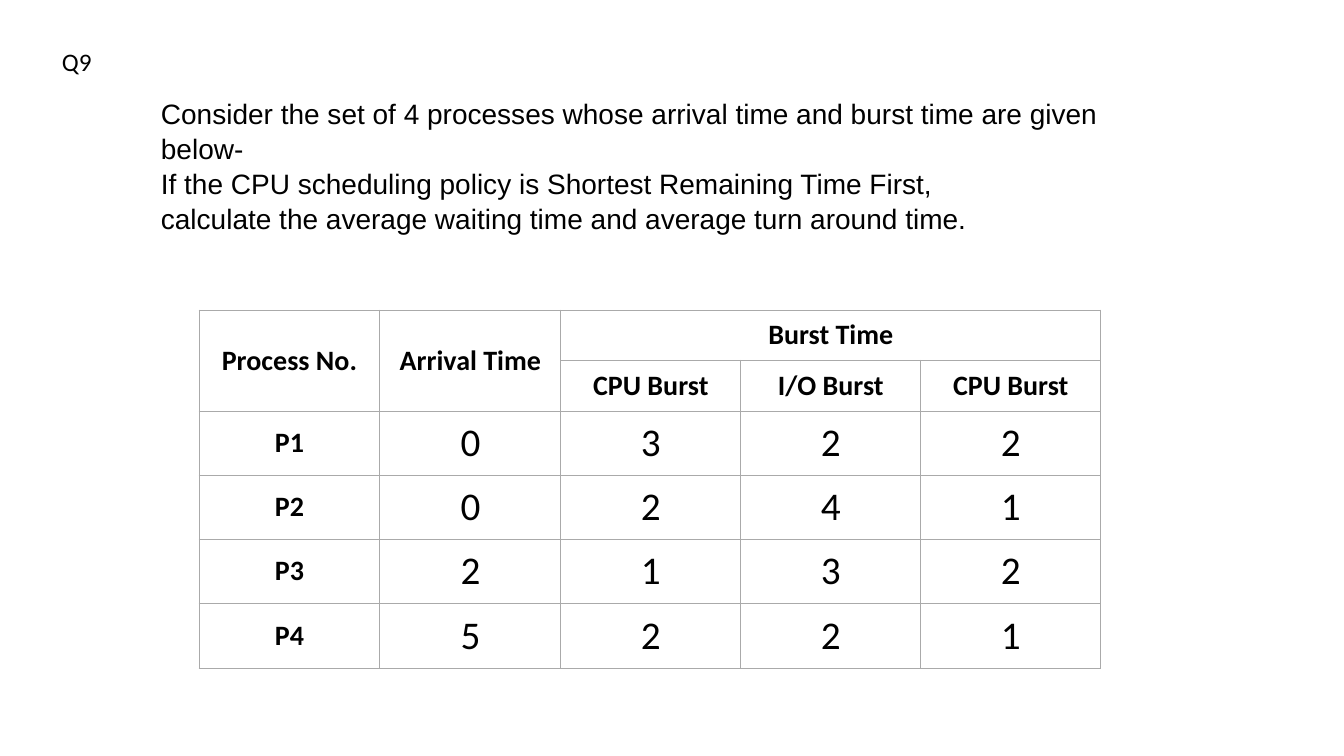
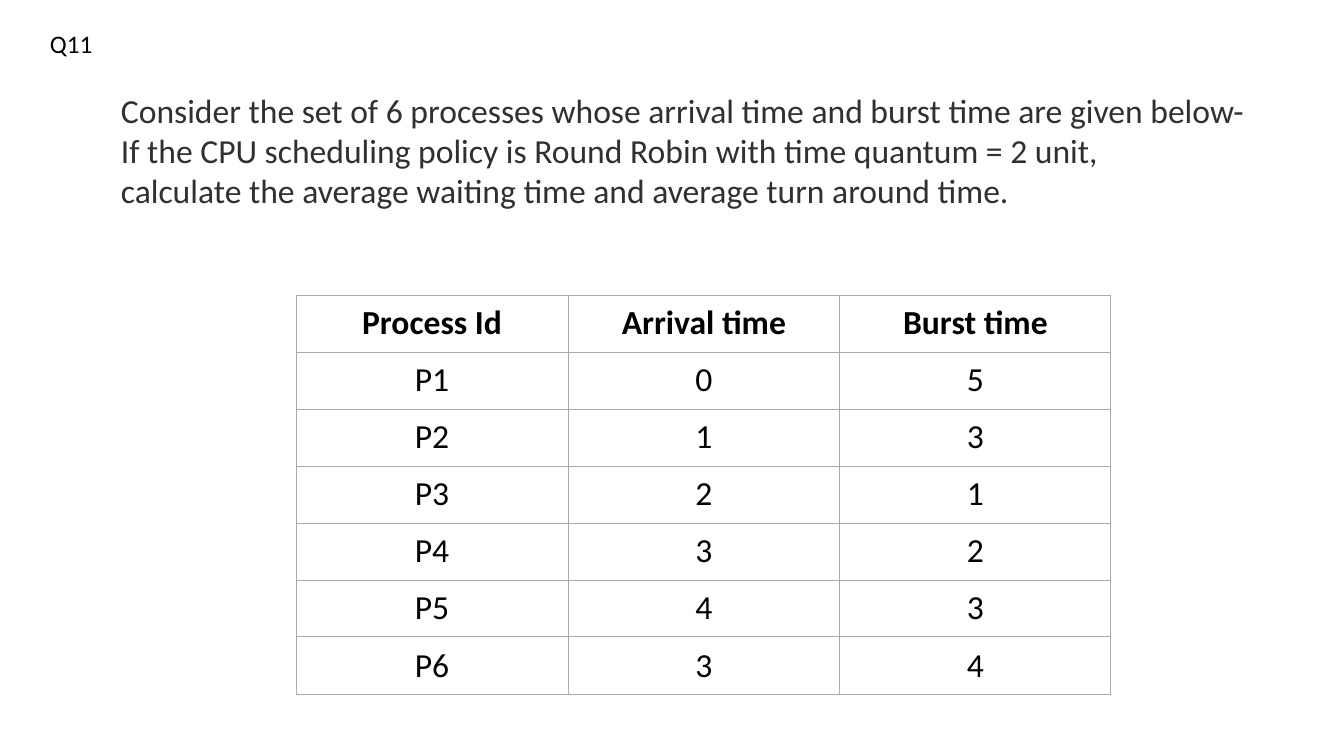
"""Build two CPU scheduling question slides, each with a process table."""
from lxml import etree
from pptx import Presentation
from pptx.dml.color import RGBColor
from pptx.enum import text
from pptx.oxml.ns import qn
from pptx.util import Emu, Pt

BLACK = RGBColor(0x00, 0x00, 0x00)
CHARCOAL = RGBColor(0x30, 0x30, 0x30)
WHITE = RGBColor(0xFF, 0xFF, 0xFF)
GREY = RGBColor(0xAA, 0xAA, 0xAA)
PIXEL = 914400 / 100.8
CELL_MARGINS = (10, 8, 10, 8)
BORDER_SIDES = ("a:lnL", "a:lnR", "a:lnT", "a:lnB")

QUESTIONS = [
    {
        "number": "Q9",
        "number_box": (52, 41, 50, 40),
        "prompt": [
            "Consider the set of 4 processes whose arrival time and burst time are given below-",
            "If the CPU scheduling policy is Shortest Remaining Time First,",
            "calculate the average waiting time and average turn around time.",
        ],
        "prompt_box": (151, 92, 968, 146),
        "prompt_format": {"size": 20, "font": "Arial", "color": BLACK, "spacing": 1.05},
        "table_origin": (199, 310),
        "columns": (181, 181, 180, 180, 180),
        "rows": (50, 51, 64, 64, 64, 65),
        "header_rows": 2,
        "header_columns": 1,
        "header_size": 20,
        "value_size": 28,
        "merges": [((0, 0), (1, 0)), ((0, 1), (1, 1)), ((0, 2), (0, 4))],
        "cells": [
            ("Process No.", "Arrival Time", "Burst Time", "", ""),
            ("", "", "CPU Burst", "I/O Burst", "CPU Burst"),
            ("P1", "0", "3", "2", "2"),
            ("P2", "0", "2", "4", "1"),
            ("P3", "2", "1", "3", "2"),
            ("P4", "5", "2", "2", "1"),
        ],
    },
    {
        "number": "Q11",
        "number_box": (40, 23, 64, 40),
        "prompt": [
            "Consider the set of 6 processes whose arrival time and burst time are given below-",
            "If the CPU scheduling policy is Round Robin with time quantum = 2 unit,",
            "calculate the average waiting time and average turn around time.",
        ],
        "prompt_box": (111, 84, 1155, 132),
        "prompt_format": {"size": 24, "color": CHARCOAL},
        "table_origin": (296, 295),
        "columns": (272, 272, 271),
        "rows": (57, 57, 57, 57, 57, 57, 58),
        "header_rows": 1,
        "header_columns": 0,
        "header_size": 24,
        "value_size": 24,
        "merges": [],
        "cells": [
            ("Process Id", "Arrival time", "Burst time"),
            ("P1", "0", "5"),
            ("P2", "1", "3"),
            ("P3", "2", "1"),
            ("P4", "3", "2"),
            ("P5", "4", "3"),
            ("P6", "3", "4"),
        ],
    },
]


def px(length):
    """Turn pixels into EMU."""
    return Emu(round(length * PIXEL))


def write(frame, lines, size=18, font="Calibri", color=BLACK, bold=False,
          align=text.PP_ALIGN.LEFT, spacing=None):
    """Fill a text frame with one paragraph for each line."""
    for index, line in enumerate(lines):
        paragraph = frame.paragraphs[0] if index == 0 else frame.add_paragraph()
        paragraph.alignment = align
        paragraph.line_spacing = spacing
        run = paragraph.add_run()
        run.text = line
        run.font.size, run.font.name, run.font.bold = Pt(size), font, bold
        run.font.color.rgb = color


def add_text(slide, box, lines, anchor=text.MSO_ANCHOR.TOP, wrap=True, **format):
    """Place a text box on the slide."""
    frame = slide.shapes.add_textbox(*map(px, box)).text_frame
    frame.word_wrap = wrap
    frame.vertical_anchor = anchor
    write(frame, lines, **format)


def style_cell(cell):
    """Give a cell its borders, fill, margins and anchor."""
    properties = cell._tc.get_or_add_tcPr()
    for side in BORDER_SIDES:
        line = etree.SubElement(properties, qn(side), w=str(Pt(0.75)))
        fill = etree.SubElement(line, qn("a:solidFill"))
        etree.SubElement(fill, qn("a:srgbClr"), val=str(GREY))
    cell.fill.solid()
    cell.fill.fore_color.rgb = WHITE
    cell.vertical_anchor = text.MSO_ANCHOR.MIDDLE
    (cell.margin_left, cell.margin_top,
     cell.margin_right, cell.margin_bottom) = map(px, CELL_MARGINS)


def add_process_table(slide, question):
    """Place the process table on the slide."""
    columns, rows = question["columns"], question["rows"]
    box = (*question["table_origin"], sum(columns), sum(rows))
    table = slide.shapes.add_table(len(rows), len(columns), *map(px, box)).table
    table.first_row = table.horz_banding = False
    for column, width in zip(table.columns, columns):
        column.width = px(width)
    for row, height in zip(table.rows, rows):
        row.height = px(height)
    for r, values in enumerate(question["cells"]):
        for c, value in enumerate(values):
            cell = table.cell(r, c)
            style_cell(cell)
            header = r < question["header_rows"] or c < question["header_columns"]
            if value:
                write(cell.text_frame, [value], bold=header, align=text.PP_ALIGN.CENTER,
                      size=question["header_size" if header else "value_size"])
    for first, last in question["merges"]:
        table.cell(*first).merge(table.cell(*last))


presentation = Presentation()
presentation.slide_width, presentation.slide_height = px(1344), px(756)
for question in QUESTIONS:
    slide = presentation.slides.add_slide(presentation.slide_layouts[6])
    add_process_table(slide, question)
    add_text(slide, question["prompt_box"], question["prompt"],
             anchor=text.MSO_ANCHOR.MIDDLE, **question["prompt_format"])
    add_text(slide, question["number_box"], [question["number"]], wrap=False)
presentation.save("out.pptx")
